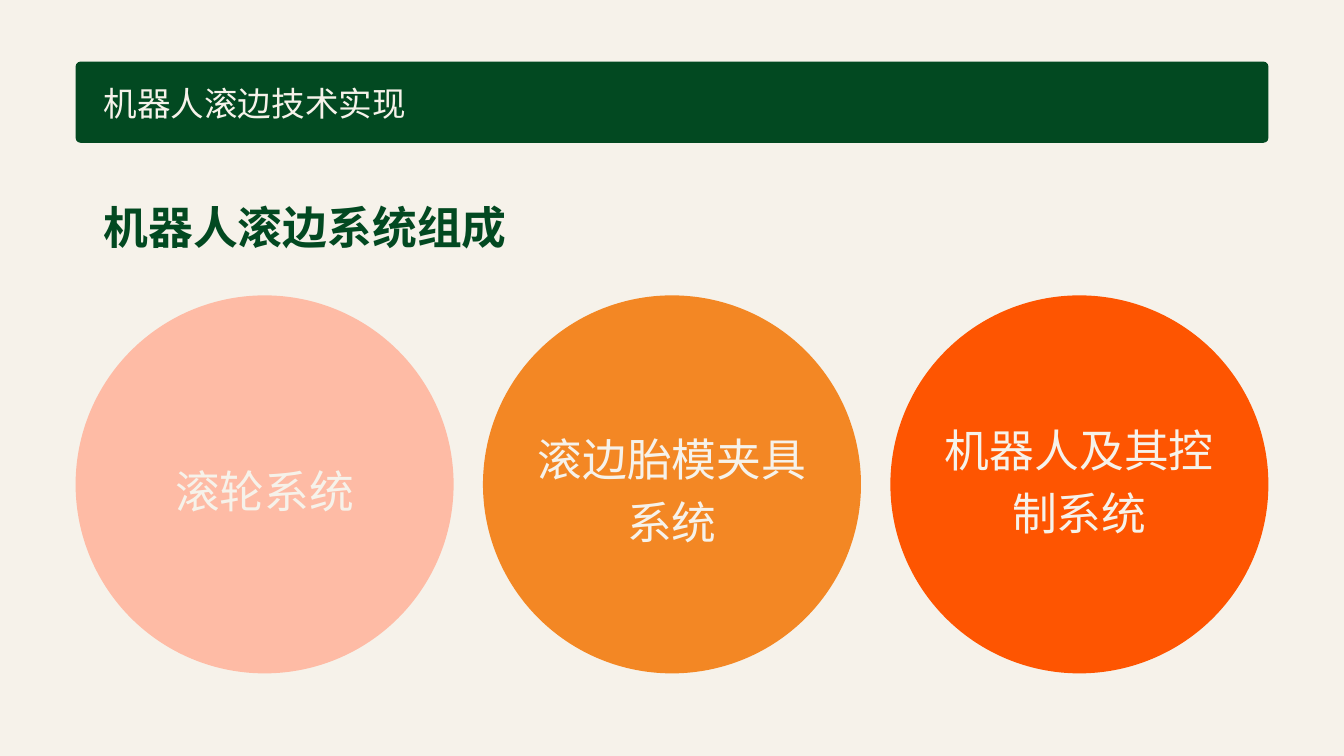
from dataclasses import dataclass

from pptx import Presentation
from pptx.dml.color import RGBColor
from pptx.enum.shapes import MSO_SHAPE
from pptx.enum.text import MSO_ANCHOR, MSO_AUTO_SIZE, PP_ALIGN
from pptx.oxml.ns import qn
from pptx.shapes.autoshape import Shape
from pptx.slide import Slide
from pptx.util import Emu, Pt

EMU_PER_PX = 9525


@dataclass(frozen=True)
class Theme:
    font: str = "Noto Sans CJK SC"
    cream: str = "F6F2EA"
    green: str = "024921"
    section_size: int = 36
    large_size: int = 48
    label_spacing: float = 67.2


@dataclass(frozen=True)
class Box:
    left: int
    top: int
    width: int
    height: int

    def emu(self) -> tuple[Emu, ...]:
        sides = (self.left, self.top, self.width, self.height)
        return tuple(Emu(side * EMU_PER_PX) for side in sides)


@dataclass(frozen=True)
class Component:
    label: str
    color: str
    label_top: int
    label_width: int
    label_height: int


THEME = Theme()
SLIDE = Box(0, 0, 1920, 1080)
BAR = Box(108, 88, 1704, 116)
BAR_RADIUS = 7
SECTION = Box(148, 118, 1116, 58)
HEADING = Box(148, 285, 696, 76)
CIRCLE_TOP, CIRCLE_SIZE = 422, 540
COMPONENTS = [
    Component("滚轮系统", "FEBBA5", 649, 468, 86),
    Component("滚边胎模夹具系统", "F38724", 604, 440, 175),
    Component("机器人及其控制系统", "FE5501", 591, 440, 175),
]


def add_filled_shape(slide: Slide, kind: MSO_SHAPE, box: Box, color: str) -> Shape:
    shape = slide.shapes.add_shape(kind, *box.emu())
    shape.shadow.inherit = False
    shape.fill.solid()
    shape.fill.fore_color.rgb = RGBColor.from_string(color)
    shape.line.fill.background()
    return shape


def write_text(shape: Shape, box: Box, text: str, size: int, spacing: float,
               color: str = THEME.cream, bold: bool = False,
               align: PP_ALIGN = PP_ALIGN.LEFT) -> None:
    shape.left, shape.top, shape.width, shape.height = box.emu()
    frame = shape.text_frame
    frame.text = text
    frame.word_wrap = True
    frame.auto_size = MSO_AUTO_SIZE.NONE
    frame.vertical_anchor = MSO_ANCHOR.TOP
    frame.margin_left = frame.margin_top = frame.margin_right = frame.margin_bottom = 0
    paragraph = frame.paragraphs[0]
    paragraph.alignment = align
    paragraph.line_spacing = Pt(spacing)
    font = paragraph.runs[0].font
    font.name = THEME.font
    font.size = Pt(size)
    font.bold = bold
    font.color.rgb = RGBColor.from_string(color)
    # Chinese characters take the East Asian typeface
    latin = font._element.find(qn("a:latin"))
    east_asian = latin.makeelement(qn("a:ea"), {"typeface": THEME.font})
    latin.addnext(east_asian)


def add_component(slide: Slide, component: Component, left: int) -> None:
    circle = Box(left, CIRCLE_TOP, CIRCLE_SIZE, CIRCLE_SIZE)
    add_filled_shape(slide, MSO_SHAPE.OVAL, circle, component.color)
    label_left = left + (CIRCLE_SIZE - component.label_width) // 2
    label = Box(label_left, component.label_top,
                component.label_width, component.label_height)
    write_text(slide.shapes.add_textbox(*label.emu()), label, component.label,
               THEME.large_size, THEME.label_spacing, align=PP_ALIGN.CENTER)


def main() -> None:
    presentation = Presentation()
    _, _, presentation.slide_width, presentation.slide_height = SLIDE.emu()
    slide = presentation.slides.add_slide(presentation.slide_layouts[5])
    slide.background.fill.solid()
    slide.background.fill.fore_color.rgb = RGBColor.from_string(THEME.cream)

    # Section bar
    bar = add_filled_shape(slide, MSO_SHAPE.ROUNDED_RECTANGLE, BAR, THEME.green)
    bar.adjustments[0] = BAR_RADIUS / BAR.height
    write_text(slide.shapes.add_textbox(*SECTION.emu()), SECTION,
               "机器人滚边技术实现", THEME.section_size, THEME.section_size * 1.2)

    # Heading
    write_text(slide.shapes.title, HEADING, "机器人滚边系统组成",
               THEME.large_size, THEME.large_size * 1.2, THEME.green, bold=True)

    # System components, spread evenly under the bar
    pitch = (BAR.width - CIRCLE_SIZE) // (len(COMPONENTS) - 1)
    for index, component in enumerate(COMPONENTS):
        add_component(slide, component, BAR.left + index * pitch)

    presentation.save("out.pptx")


if __name__ == "__main__":
    main()
